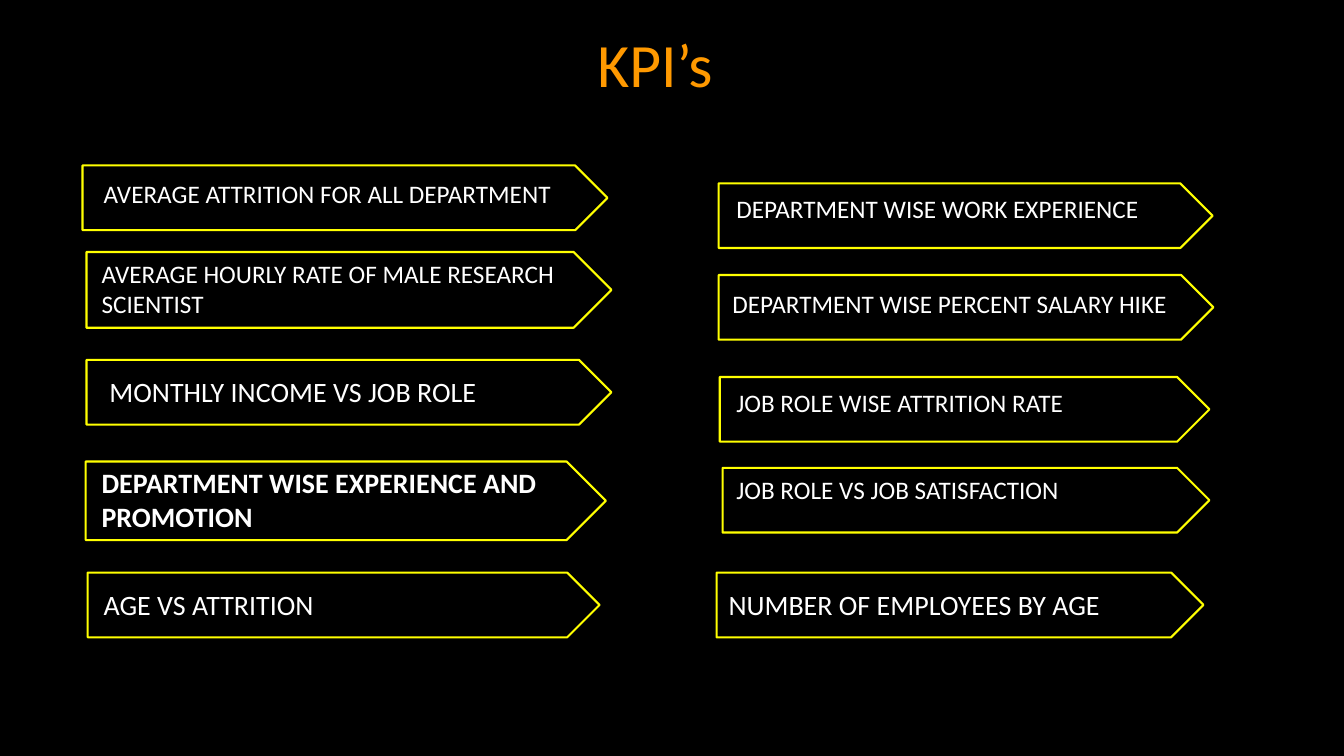
import pptx
import pptx.util
import pptx.dml.color
import pptx.enum.shapes
import pptx.enum.text
from dataclasses import dataclass

Cm, Pt = pptx.util.Cm, pptx.util.Pt

COLORS = {"background": "000000", "title": "FF9900", "outline": "FFFF00", "text": "FFFFFF"}
FONT = "Calibri"
LINE_HEIGHT = 1.2
TEXT_MARGINS = Cm(0.25)  # top and bottom insets together


@dataclass
class Kpi:
    """An arrow banner and its label; lengths in centimetres, size in points."""
    text: str
    left: float
    top: float
    width: float
    text_left: float
    text_top: float
    text_width: float
    size: int = 18
    height: float = 1.63
    lines: int = 1
    bold: bool = False


KPIS = [
    # Left column
    Kpi("AVERAGE ATTRITION FOR ALL DEPARTMENT", 2.08, 4.17, 13.23, 2.36, 4.37, 12.19),
    Kpi("AVERAGE HOURLY RATE OF MALE RESEARCH SCIENTIST", 2.18, 6.35, 13.23,
        2.31, 6.38, 12.6, height=1.91, lines=2),
    Kpi("MONTHLY INCOME VS JOB ROLE", 2.18, 9.07, 13.23, 2.51, 9.32, 10.82, size=20),
    Kpi("DEPARTMENT WISE EXPERIENCE AND PROMOTION", 2.16, 11.63, 13.11,
        2.31, 11.61, 12.19, size=20, height=1.98, lines=2, bold=True),
    Kpi("AGE VS ATTRITION", 2.21, 14.43, 12.9, 2.36, 14.68, 8.41, size=20),
    # Right column
    Kpi("DEPARTMENT WISE WORK EXPERIENCE", 18.11, 4.62, 12.45, 18.31, 4.75, 10.8),
    Kpi("DEPARTMENT WISE PERCENT SALARY HIKE", 18.11, 6.93, 12.47, 18.21, 7.14, 13.97),
    Kpi("JOB ROLE WISE ATTRITION RATE", 18.14, 9.5, 12.34, 18.31, 9.63, 11.18),
    Kpi("JOB ROLE VS JOB SATISFACTION", 18.21, 11.79, 12.27, 18.31, 11.84, 11.35),
    Kpi("NUMBER OF EMPLOYEES BY AGE", 18.06, 14.43, 12.27, 18.11, 14.68, 10.24, size=20),
]


def color(name: str) -> pptx.dml.color.RGBColor:
    return pptx.dml.color.RGBColor.from_string(COLORS[name])


def write_text(sp, text: str, size: int, color_name: str, bold: bool = False):
    """Fill a shape with one paragraph and return that paragraph."""
    tf = sp.text_frame
    tf.word_wrap = True
    tf.text = text
    p = tf.paragraphs[0]
    p.font.name = FONT
    p.font.size = Pt(size)
    p.font.bold = bold
    p.font.color.rgb = color(color_name)
    return p


def add_title(s, text: str) -> None:
    sp = s.shapes.title
    sp.left, sp.top, sp.width, sp.height = Cm(12.29), Cm(0.51), Cm(8.43), Cm(2.13)
    p = write_text(sp, text, 44, "title")
    p.alignment = pptx.enum.text.PP_ALIGN.CENTER
    sp.text_frame.auto_size = pptx.enum.text.MSO_AUTO_SIZE.SHAPE_TO_FIT_TEXT


def add_kpi(s, kpi: Kpi) -> None:
    # Arrow outline
    sp = s.shapes.add_shape(pptx.enum.shapes.MSO_SHAPE.PENTAGON, Cm(kpi.left), Cm(kpi.top),
                            Cm(kpi.width), Cm(kpi.height))
    sp.shadow.inherit = False
    sp.fill.background()
    sp.line.color.rgb = color("outline")
    sp.line.width = Pt(1.5)

    # Label
    text_height = Pt(kpi.lines * kpi.size * LINE_HEIGHT) + TEXT_MARGINS
    label = s.shapes.add_textbox(Cm(kpi.text_left), Cm(kpi.text_top),
                                 Cm(kpi.text_width), text_height)
    write_text(label, kpi.text, kpi.size, "text", kpi.bold)
    label.text_frame.auto_size = pptx.enum.text.MSO_AUTO_SIZE.SHAPE_TO_FIT_TEXT


def main() -> None:
    prs = pptx.Presentation()
    prs.slide_width, prs.slide_height = Cm(33.87), Cm(19.05)
    s = prs.slides.add_slide(prs.slide_layouts.get_by_name("Title Only"))

    # Background
    s.background.fill.solid()
    s.background.fill.fore_color.rgb = color("background")

    # Title and KPI banners
    add_title(s, "KPI’s")
    for kpi in KPIS:
        add_kpi(s, kpi)

    prs.save("out.pptx")


if __name__ == "__main__":
    main()
